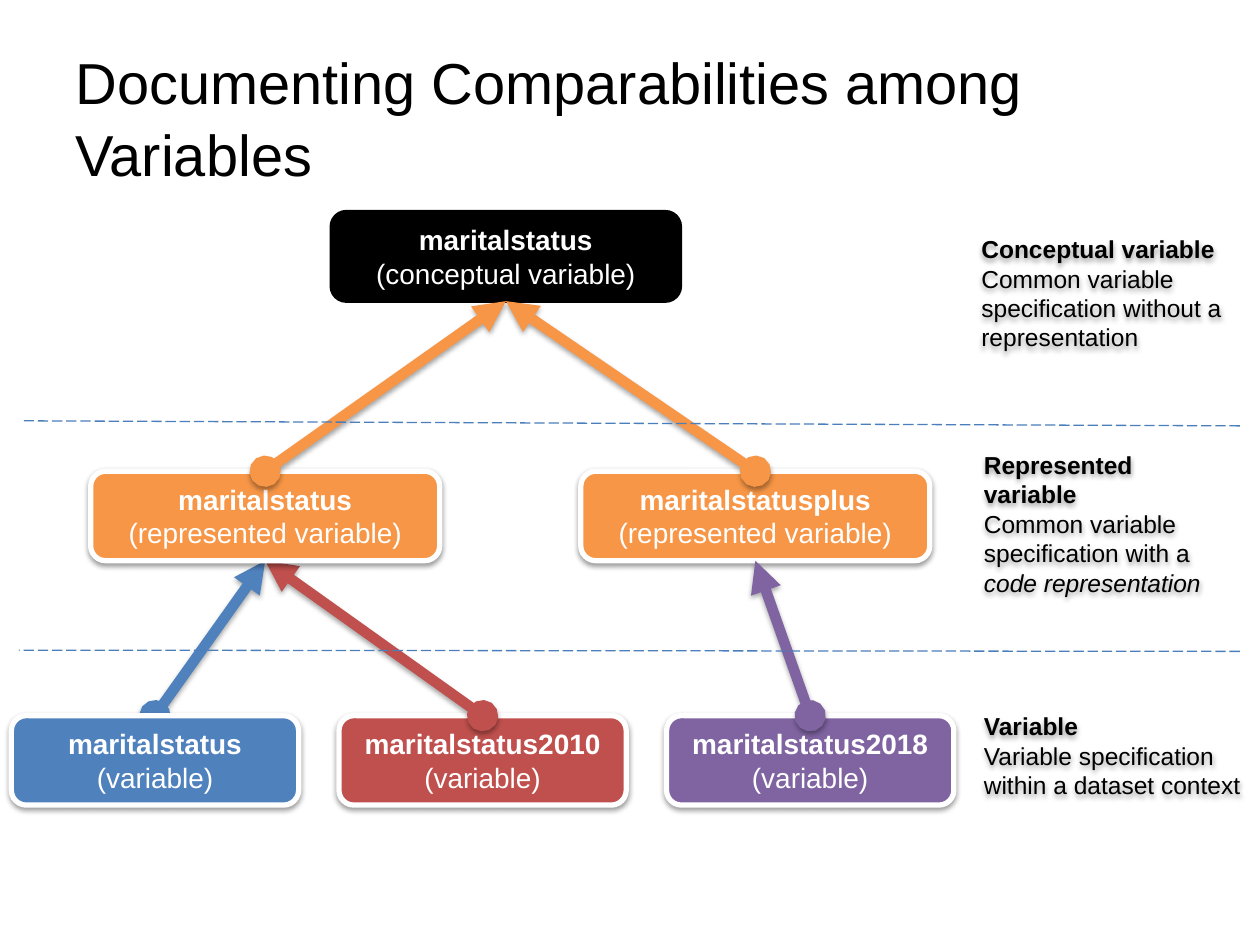
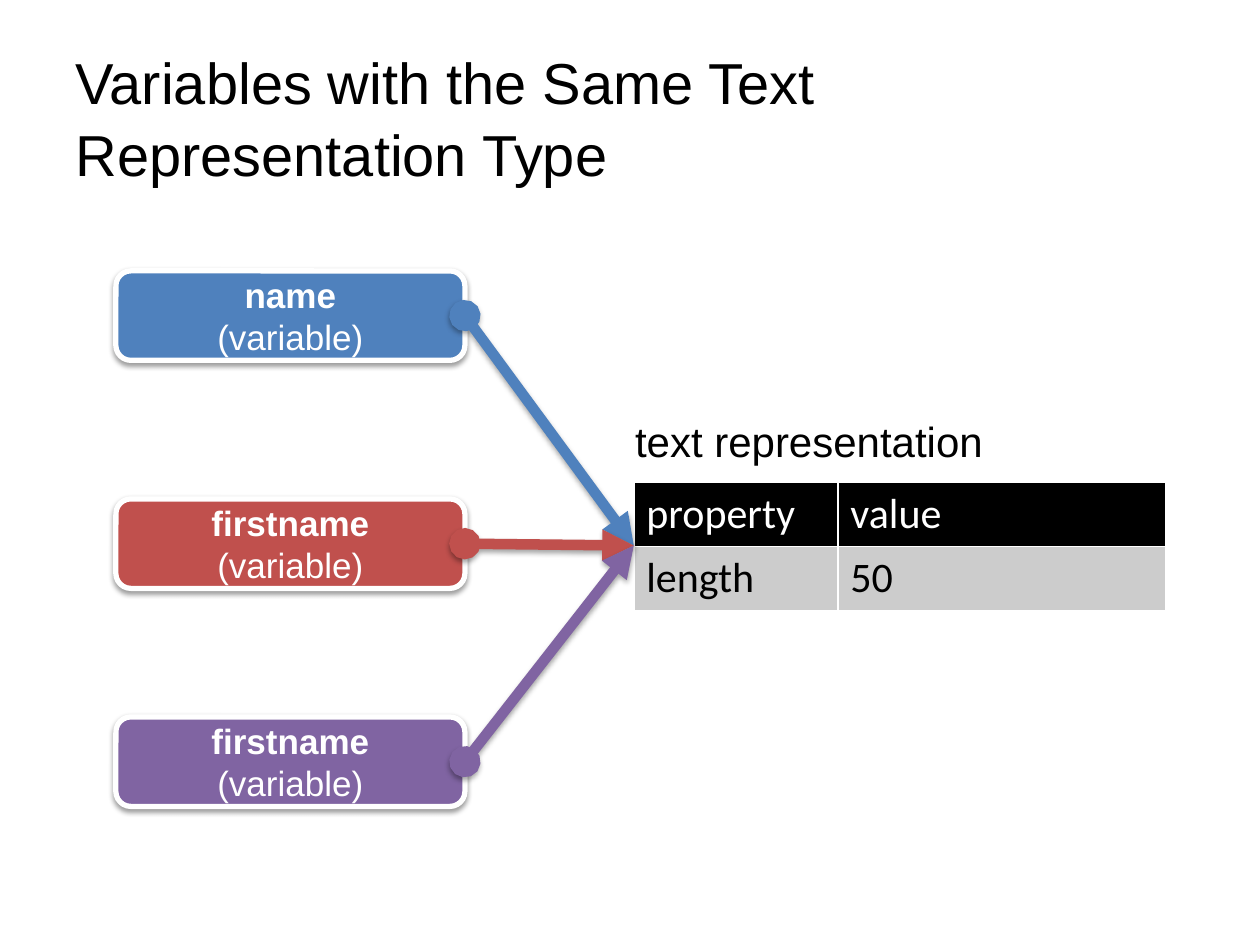
from dataclasses import dataclass

from lxml import etree
from pptx import Presentation
from pptx.dml.color import RGBColor
from pptx.enum import dml, shapes, text
from pptx.oxml.ns import qn
from pptx.util import Inches, Pt


@dataclass(frozen=True)
class Theme:
    """Colours, fonts and type sizes shared by both slides."""
    black: str = "000000"
    white: str = "FFFFFF"
    grey: str = "CCCCCC"
    blue: str = "4F81BD"
    red: str = "C0504D"
    purple: str = "8064A2"
    orange: str = "F79646"
    divider: str = "4B7EBC"
    font: str = "Arial"
    table_font: str = "Calibri"
    title_size: float = 33
    table_size: float = 24
    field_size: float = 20
    node_size: float = 16
    note_size: float = 14


T = Theme()
TITLE_AREA = (0.5, 0.3, 9, 1.25)
NODE_HEIGHT, WIDE, NARROW = 0.71, 2.77, 2.28
VARIABLE_LEFT, VARIABLE_GAP, VARIABLE_TOP = 0.09, 0.32, 5.68
REPRESENTED_TOP = 3.74

# Hierarchy slide: key -> (name, role, colour, left, top, width)
HIERARCHY_TITLE = "Documenting Comparabilities among Variables"
HIERARCHY = {
    "concept": ("maritalstatus", "(conceptual variable)", T.black, 2.63, 1.68, WIDE),
    "status": ("maritalstatus", "(represented variable)", T.orange, 0.72, REPRESENTED_TOP, WIDE),
    "plus": ("maritalstatusplus", "(represented variable)", T.orange, 4.61, REPRESENTED_TOP, WIDE),
}
VARIABLES = [
    ("var", "maritalstatus", T.blue),
    ("var2010", "maritalstatus2010", T.red),
    ("var2018", "maritalstatus2018", T.purple),
]
for column, (key, name, colour) in enumerate(VARIABLES):
    left = VARIABLE_LEFT + column * (NARROW + VARIABLE_GAP)
    HIERARCHY[key] = (name, "(variable)", colour, left, VARIABLE_TOP, NARROW)

# Back to front: a key draws a node, a pair draws an arrow from child to parent
HIERARCHY_ORDER = [
    "concept", "var2010", ("var2010", "status"), ("var", "status"), "status", "var",
    ("status", "concept"), "var2018", "plus", ("var2018", "plus"), ("plus", "concept"),
]
DIVIDERS = [((9.84, 3.38), (0.19, 3.34)), ((9.84, 5.17), (0.15, 5.16))]
# heading, explanation, italic ending, area
NOTES = [
    ("Conceptual variable", "Common variable specification without a representation", "",
     (7.69, 1.72, 2.31, 1.21)),
    ("Represented variable", "Common variable specification with a ", "code representation",
     (7.71, 3.55, 1.95, 1.21)),
    ("Variable", "Variable specification within a dataset context", "",
     (7.71, 5.39, 2.49, 1.21)),
]

# Text representation slide
TEXT_TITLE = "Variables with the Same Text Representation Type"
FIELD_LEFT = 0.92
FIELDS = [("name", T.blue, 2.15), ("firstname", T.red, 3.96), ("firstname", T.purple, 5.69)]
TABLE_LEFT, TABLE_TOP, CAPTION_TOP, ROW_HEIGHT = 5.03, 3.83, 3.28, 0.5
CAPTION = [["text representation"]]
PROPERTIES = [["property", "value"], ["length", "50"]]


def rgb(colour):
    """Turn a hex string into a colour."""
    return RGBColor.from_string(colour)


def inches(*lengths):
    """Convert several lengths to Inches."""
    return [Inches(length) for length in lengths]


def style(run, size, colour, bold=False, font=T.font):
    """Format one run."""
    run.font.name, run.font.size, run.font.bold = font, Pt(size), bold
    run.font.color.rgb = rgb(colour)


def cast_shadow(part, opacity=38, distance=1.6):
    """Give a shape or connector a soft shadow straight below it."""
    effects = part._element.spPr.find(qn("a:effectLst"))
    if effects is None:
        effects = etree.SubElement(part._element.spPr, qn("a:effectLst"))
    shadow = etree.SubElement(effects, qn("a:outerShdw"), blurRad=str(Pt(3.1)),
                              dist=str(Pt(distance)), dir="5400000", rotWithShape="0")
    tint = etree.SubElement(shadow, qn("a:srgbClr"), val=T.black)
    etree.SubElement(tint, qn("a:alpha"), val=str(opacity * 1000))


def add_titled_slide(deck, title):
    """Add a title-only slide with the shared title style."""
    slide = deck.slides.add_slide(deck.slide_layouts[5])
    heading = slide.shapes.title
    heading.left, heading.top, heading.width, heading.height = inches(*TITLE_AREA)
    frame = heading.text_frame
    frame.text = title
    frame.vertical_anchor = text.MSO_ANCHOR.MIDDLE
    frame.paragraphs[0].alignment = text.PP_ALIGN.LEFT
    frame.paragraphs[0].line_spacing = 1.04
    style(frame.paragraphs[0].runs[0], T.title_size, T.black)
    return slide


def add_node(slide, name, role, colour, left, top, width, size=T.node_size):
    """Draw a rounded box with a bold name above its role."""
    node = slide.shapes.add_shape(shapes.MSO_SHAPE.ROUNDED_RECTANGLE,
                                  *inches(left, top, width, NODE_HEIGHT))
    plain = colour == T.black
    node.fill.solid()
    node.fill.fore_color.rgb = rgb(colour)
    node.line.color.rgb = rgb(T.black if plain else T.white)
    node.line.width = Pt(2 if plain else 3)
    node.shadow.inherit = False
    if not plain:
        cast_shadow(node)
    node.text_frame.vertical_anchor = text.MSO_ANCHOR.MIDDLE
    label = node.text_frame.paragraphs[0]
    label.text = f"{name}\v{role}"
    label.alignment = text.PP_ALIGN.CENTER
    for run, bold in zip(label.runs, (True, False)):
        style(run, size, T.white, bold)


def add_line(slide, start, end, colour, width):
    """Draw a straight connector without a shadow."""
    line = slide.shapes.add_connector(shapes.MSO_CONNECTOR.STRAIGHT, *inches(*start, *end))
    line.line.color.rgb = rgb(colour)
    line.line.width = Pt(width)
    etree.SubElement(line._element.spPr, qn("a:effectLst"))
    return line


def add_arrow(slide, start, end, colour):
    """Draw a thick arrow that starts in a dot."""
    arrow = add_line(slide, start, end, colour, 6)
    stroke = arrow._element.spPr.find(qn("a:ln"))
    etree.SubElement(stroke, qn("a:headEnd"), type="oval")
    etree.SubElement(stroke, qn("a:tailEnd"), type="triangle")
    cast_shadow(arrow, 35, 1.8)


def add_note(slide, heading, explanation, ending, area):
    """Write a bold heading over its explanation, with an italic ending."""
    note = slide.shapes.add_textbox(*inches(*area))
    note.shadow.inherit = False
    cast_shadow(note)
    frame = note.text_frame
    frame.word_wrap = True
    frame.vertical_anchor = text.MSO_ANCHOR.MIDDLE
    frame.text = f"{heading}\n{explanation}"
    top, body = frame.paragraphs
    style(top.runs[0], T.note_size, T.black, bold=True)
    if ending:
        body.add_run().text = ending
        body.runs[-1].font.italic = True
    for run in body.runs:
        style(run, T.note_size, T.black)


def add_grid(slide, rows, top, widths, looks, font):
    """Add a table; looks holds a fill (or None) and a text colour for each row."""
    grid = slide.shapes.add_table(len(rows), len(widths), *inches(
        TABLE_LEFT, top, sum(widths), ROW_HEIGHT * len(rows))).table
    grid.first_row = grid.horz_banding = False
    for column, width in zip(grid.columns, widths):
        column.width = Inches(width)
    for r, (values, (fill, ink)) in enumerate(zip(rows, looks)):
        for c, value in enumerate(values):
            cell = grid.cell(r, c)
            cell.text = value
            style(cell.text_frame.paragraphs[0].runs[0], T.table_size, ink, font=font)
            if fill:
                cell.fill.solid()
                cell.fill.fore_color.rgb = rgb(fill)
            else:
                cell.fill.background()
    return grid


def build_hierarchy(deck):
    """Build the tree of conceptual, represented and dataset variables."""
    slide = add_titled_slide(deck, HIERARCHY_TITLE)
    for item in HIERARCHY_ORDER:
        if isinstance(item, str):
            add_node(slide, *HIERARCHY[item])
            continue
        child, parent = (HIERARCHY[key] for key in item)
        _, _, colour, left, top, width = child
        _, _, _, parent_left, parent_top, parent_width = parent
        add_arrow(slide, (left + width / 2, top),
                  (parent_left + parent_width / 2, parent_top + NODE_HEIGHT), colour)
    for start, end in DIVIDERS:
        divider = add_line(slide, start, end, T.divider, 0.75)
        divider.line.dash_style = dml.MSO_LINE.LONG_DASH
    for note in NOTES:
        add_note(slide, *note)


def build_text_representation(deck):
    """Build the three variables pointing at one property table."""
    slide = add_titled_slide(deck, TEXT_TITLE)
    caption = add_grid(slide, CAPTION, CAPTION_TOP, [3.51], [(None, T.black)], T.font)
    caption.cell(0, 0).margin_left = Inches(0.01)
    add_grid(slide, PROPERTIES, TABLE_TOP, [1.62, 2.6],
             [(T.black, T.white), (T.grey, T.black)], T.table_font)
    target = (TABLE_LEFT, TABLE_TOP + ROW_HEIGHT)
    for name, colour, top in FIELDS:
        add_node(slide, name, "(variable)", colour, FIELD_LEFT, top, WIDE, T.field_size)
    for _, colour, top in FIELDS:
        add_arrow(slide, (FIELD_LEFT + WIDE, top + NODE_HEIGHT / 2), target, colour)


deck = Presentation()
deck.slide_width, deck.slide_height = inches(10, 7.5)
build_hierarchy(deck)
build_text_representation(deck)
deck.save("out.pptx")
